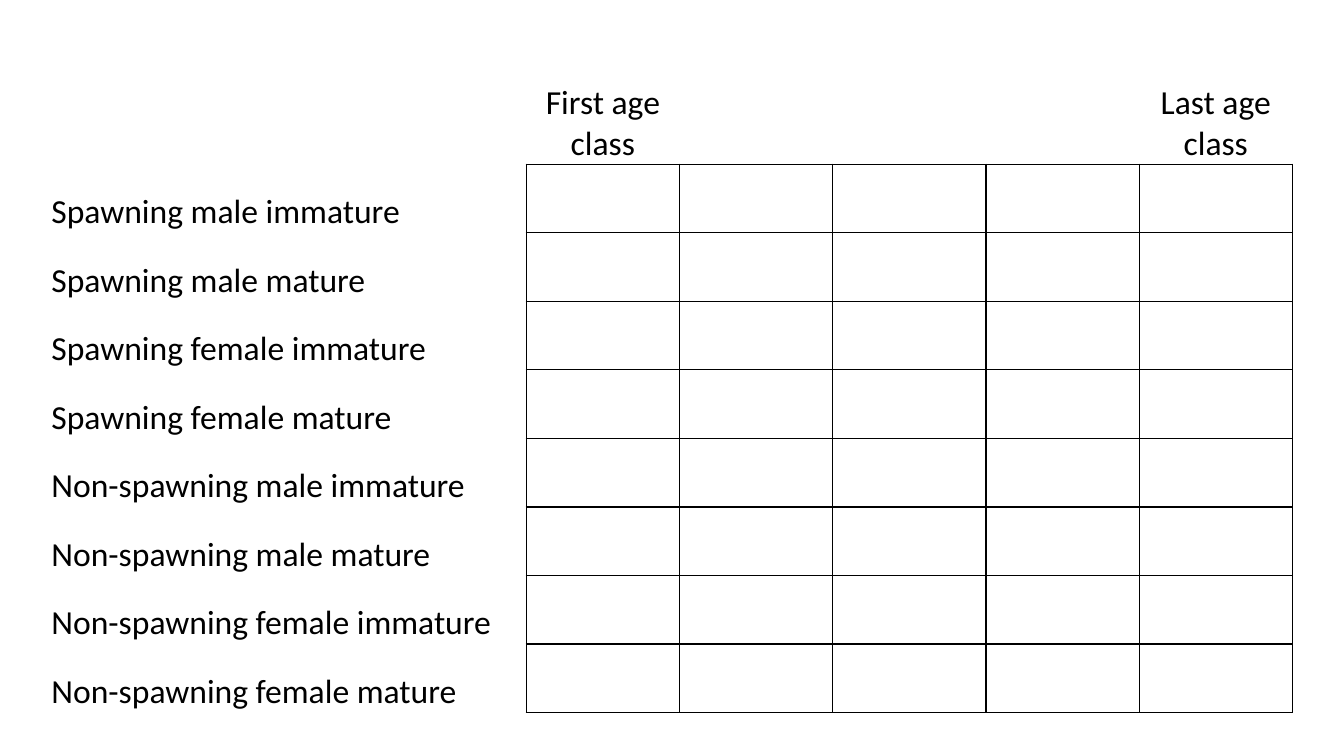
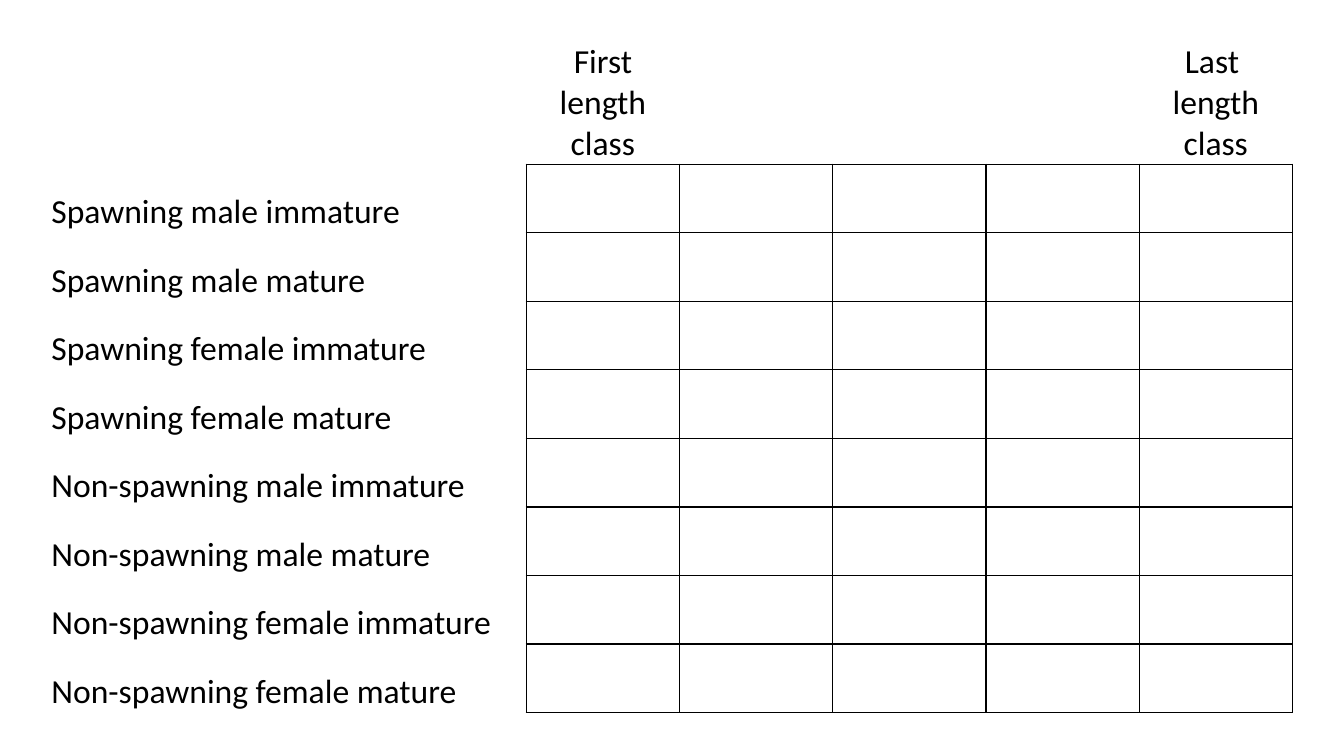
import dataclasses

import lxml.etree
import pptx
import pptx.dml.color
import pptx.enum.text
import pptx.oxml.ns
import pptx.slide
import pptx.table
import pptx.util

Inches = pptx.util.Inches
BLACK = pptx.dml.color.RGBColor(0, 0, 0)
WHITE = pptx.dml.color.RGBColor(255, 255, 255)
FONT = "Calibri"
TEXT_SIZE = 24
BORDER_WIDTH = 1
BLANK_LAYOUT = 6

TABLE_LEFT, TABLE_TOP = 0.5, 0.2
LABEL_WIDTH, CLASS_WIDTH = 4.72, 1.52
HEADER_HEIGHT, GROUP_HEIGHT = 1.43, 0.68
CLASS_COUNT = 5

GROUPS = [
    f"{spawning} {sex} {maturity}"
    for spawning in ("Spawning", "Non-spawning")
    for sex in ("male", "female")
    for maturity in ("immature", "mature")
]


@dataclasses.dataclass(frozen=True)
class ClassTable:
    first_class: str
    last_class: str


CLASS_TABLES = (
    ClassTable("First age class", "Last age class"),
    ClassTable("First length class", "Last \nlength class"),
)


def write_text(
    cell: pptx.table._Cell,
    text: str,
    *,
    align: pptx.enum.text.PP_ALIGN = pptx.enum.text.PP_ALIGN.LEFT,
    size: float = TEXT_SIZE,
    color: pptx.dml.color.RGBColor = BLACK,
) -> None:
    cell.vertical_anchor = pptx.enum.text.MSO_ANCHOR.BOTTOM
    cell.margin_left = cell.margin_right = cell.margin_top = Inches(0.01)
    cell.margin_bottom = Inches(0)
    para = cell.text_frame.paragraphs[0]
    para.text = text
    para.alignment = align
    for span in para.runs:
        span.font.name = FONT
        span.font.size = pptx.util.Pt(size)
        span.font.color.rgb = color


def draw_borders(cell: pptx.table._Cell, colors: dict[str, pptx.dml.color.RGBColor]) -> None:
    qn = pptx.oxml.ns.qn
    properties = cell._tc.get_or_add_tcPr()
    for side, color in colors.items():
        line = lxml.etree.SubElement(
            properties, qn(f"a:ln{side}"), w=str(pptx.util.Pt(BORDER_WIDTH))
        )
        fill = lxml.etree.SubElement(line, qn("a:solidFill"))
        lxml.etree.SubElement(fill, qn("a:srgbClr"), val=str(color))


def border_colors(row: int, column: int) -> dict[str, pptx.dml.color.RGBColor]:
    in_grid = row > 0 and column > 0
    colors = dict.fromkeys("LRTB", BLACK if in_grid else WHITE)
    if row == 0 and column > 0:
        colors["B"] = BLACK
    if column == 0 and row > 0:
        colors["R"] = BLACK
    return colors


def add_class_table(page: pptx.slide.Slide, content: ClassTable) -> None:
    widths = [LABEL_WIDTH] + [CLASS_WIDTH] * CLASS_COUNT
    heights = [HEADER_HEIGHT] + [GROUP_HEIGHT] * len(GROUPS)
    table = page.shapes.add_table(
        len(heights),
        len(widths),
        Inches(TABLE_LEFT),
        Inches(TABLE_TOP),
        Inches(sum(widths)),
        Inches(sum(heights)),
    ).table
    table.first_row = False
    table.horz_banding = False
    for column, width in zip(table.columns, widths):
        column.width = Inches(width)
    for row, height in zip(table.rows, heights):
        row.height = Inches(height)
    for row in range(len(heights)):
        for column in range(len(widths)):
            cell = table.cell(row, column)
            draw_borders(cell, border_colors(row, column))
            cell.fill.background()
    center = pptx.enum.text.PP_ALIGN.CENTER
    write_text(table.cell(0, 1), content.first_class, align=center)
    write_text(table.cell(0, CLASS_COUNT), content.last_class, align=center)
    for row, group in enumerate(GROUPS, start=1):
        write_text(table.cell(row, 0), group)


def main() -> None:
    deck = pptx.Presentation()
    deck.slide_width = Inches(13.33)
    deck.slide_height = Inches(7.5)
    for content in CLASS_TABLES:
        page = deck.slides.add_slide(deck.slide_layouts[BLANK_LAYOUT])
        add_class_table(page, content)
    deck.save("out.pptx")


if __name__ == "__main__":
    main()
